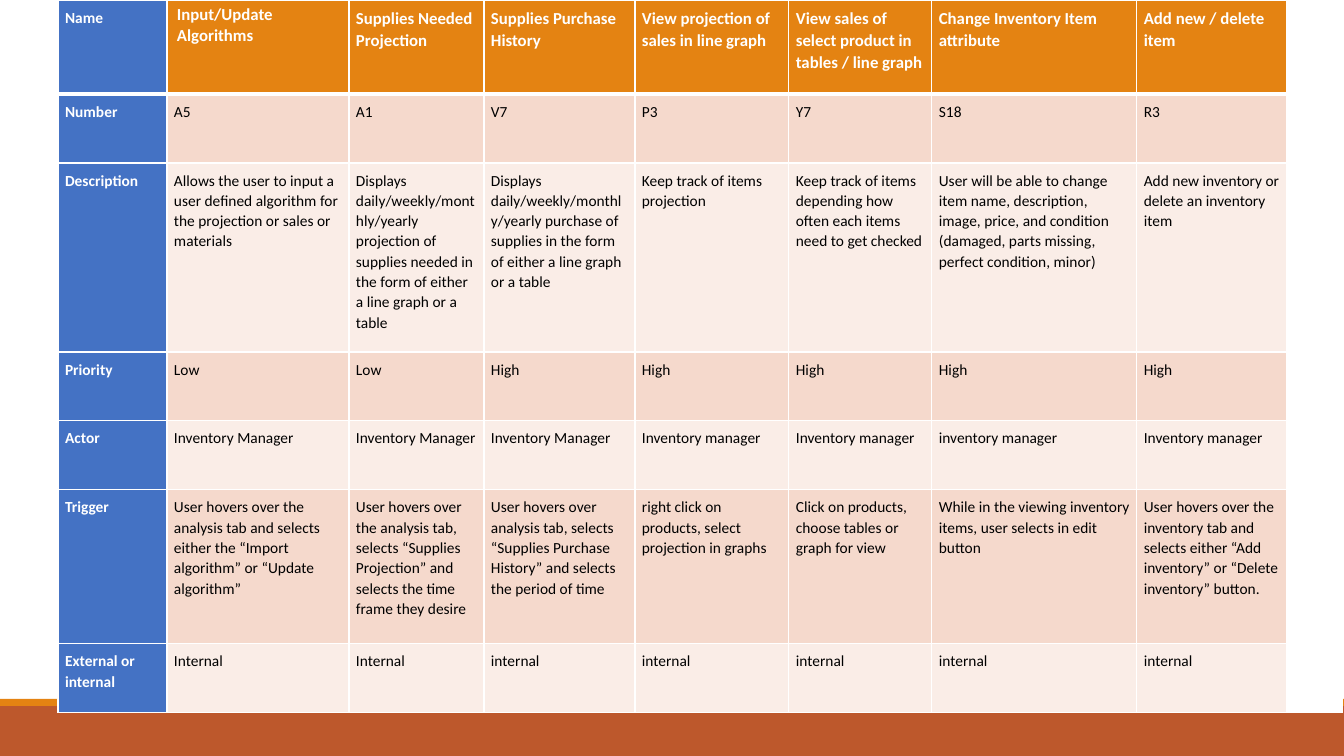
from dataclasses import dataclass

from lxml.etree import SubElement
from pptx import Presentation
from pptx.dml.color import RGBColor
from pptx.enum.shapes import MSO_SHAPE
from pptx.oxml.ns import qn
from pptx.util import Emu, Pt

FONT = "Calibri"
WHITE, BLACK = "FFFFFF", "000000"
ORANGE, RUST, BLUE = "E48312", "BD582C", "4472C4"
BANDS = ("F5D9CC", "FAEDE7")

PAGE_WIDTH, PAGE_HEIGHT = 1344, 756
TABLE_LEFT, TABLE_TOP = 58, 0
CELL_INSET = 7
SPARE_COLUMNS = 2  # blank white columns at the right edge
COLUMN_WIDTHS = (109, 182, 135, 151, 154, 143, 205, 150, 28, 28)


@dataclass(frozen=True)
class Band:
    top: int
    height: int
    fill: str


@dataclass(frozen=True)
class TableRow:
    height: int
    texts: tuple[str, ...]


@dataclass(frozen=True)
class CellStyle:
    fill: str
    color: str
    size: int = 11
    bold: bool = False
    inset_x: int = CELL_INSET
    inset_y: int = CELL_INSET
    line_spacing: float = 1.07
    space_after: int = 0


FOOTER_BANDS = (Band(706, 50, RUST), Band(699, 7, ORANGE))

LABEL = CellStyle(BLUE, WHITE, bold=True)
HEADER = CellStyle(ORANGE, WHITE, size=12, bold=True, space_after=8)
FIRST_HEADER = CellStyle(ORANGE, WHITE, size=12, bold=True,
                         inset_x=10, inset_y=5, line_spacing=1.0)
SPARE = CellStyle(WHITE, BLACK)

ROWS = (
    TableRow(94, (
        "Name", "Input/Update Algorithms", "Supplies Needed Projection",
        "Supplies Purchase History", "View projection of sales in line graph",
        "View sales of select product in tables / line graph",
        "Change Inventory Item attribute", "Add new / delete item")),
    TableRow(69, ("Number", "A5", "A1", "V7", "P3", "Y7", "S18", "R3")),
    TableRow(189, (
        "Description",
        "Allows the user to input a user defined algorithm for the projection or sales or materials",
        "Displays daily/weekly/monthly/yearly projection of supplies needed "
        "in the form of either a line graph or a table",
        "Displays daily/weekly/monthly/yearly purchase of supplies "
        "in the form of either a line graph or a table",
        "Keep track of items projection",
        "Keep track of items depending how often each items need to get checked",
        "User will be able to change item name, description, image, price, "
        "and condition (damaged, parts missing, perfect condition, minor)",
        "Add new inventory or delete an inventory item")),
    TableRow(69, ("Priority", "Low", "Low", "High", "High", "High", "High", "High")),
    TableRow(69, (
        "Actor", "Inventory Manager", "Inventory Manager", "Inventory Manager",
        "Inventory manager", "Inventory manager", "inventory manager", "Inventory manager")),
    TableRow(154, (
        "Trigger",
        "User hovers over the analysis tab and selects either the “Import algorithm” or “Update algorithm”",
        "User hovers over the analysis tab, selects “Supplies Projection” "
        "and selects the time frame they desire",
        "User hovers over analysis tab, selects “Supplies Purchase History” "
        "and selects the period of time",
        "right click on products, select projection in graphs",
        "Click on products, choose tables or graph for view",
        "While in the viewing inventory items, user selects in edit button",
        "User hovers over the inventory tab and selects either “Add inventory” "
        "or “Delete inventory” button.")),
    TableRow(69, (
        "External or internal", "Internal", "Internal", "internal",
        "internal", "internal", "internal", "internal")),
)


def px(length: int) -> Emu:
    return Emu(round(length * 914400 / 100.8))


def rgb(value: str) -> RGBColor:
    return RGBColor.from_string(value)


def draw_band(page, band: Band) -> None:
    bar = page.shapes.add_shape(
        MSO_SHAPE.RECTANGLE, 0, px(band.top), px(PAGE_WIDTH), px(band.height))
    bar.shadow.inherit = False
    bar.fill.solid()
    bar.fill.fore_color.rgb = rgb(band.fill)
    bar.line.fill.background()


def set_borders(cell, top: int, bottom: int) -> None:
    properties = cell._tc.get_or_add_tcPr()
    for side, points in (("L", 1), ("R", 1), ("T", top), ("B", bottom)):
        line = SubElement(properties, qn(f"a:ln{side}"), w=str(Pt(points)))
        fill = SubElement(line, qn("a:solidFill"))
        SubElement(fill, qn("a:srgbClr"), val=WHITE)


def style_for(row: int, column: int) -> CellStyle:
    if column >= len(COLUMN_WIDTHS) - SPARE_COLUMNS:
        return SPARE
    if column == 0:
        return LABEL
    if row == 0:
        return FIRST_HEADER if column == 1 else HEADER
    return CellStyle(BANDS[(row - 1) % 2], BLACK)


def fill_cell(cell, text: str, style: CellStyle) -> None:
    cell.fill.solid()
    cell.fill.fore_color.rgb = rgb(style.fill)
    cell.margin_left = cell.margin_right = px(style.inset_x)
    cell.margin_top = cell.margin_bottom = px(style.inset_y)
    cell.text = text
    para = cell.text_frame.paragraphs[0]
    para.line_spacing = style.line_spacing
    para.space_after = Pt(style.space_after)
    para.font.name = FONT
    para.font.size = Pt(style.size)
    para.font.bold = style.bold
    para.font.color.rgb = rgb(style.color)


def draw_table(page) -> None:
    frame = page.shapes.add_table(
        len(ROWS), len(COLUMN_WIDTHS), px(TABLE_LEFT), px(TABLE_TOP),
        px(sum(COLUMN_WIDTHS)), px(sum(row.height for row in ROWS)))
    table = frame.table
    table.first_row = table.horz_banding = False
    for column, width in zip(table.columns, COLUMN_WIDTHS):
        column.width = px(width)
    for row_index, row in enumerate(ROWS):
        table.rows[row_index].height = px(row.height)
        texts = row.texts + ("",) * SPARE_COLUMNS
        for column_index, text in enumerate(texts):
            cell = table.cell(row_index, column_index)
            # A heavier rule separates the header from the body
            set_borders(cell, top=3 if row_index == 1 else 1,
                        bottom=3 if row_index == 0 else 1)
            fill_cell(cell, text, style_for(row_index, column_index))


def main() -> None:
    deck = Presentation()
    deck.slide_width, deck.slide_height = px(PAGE_WIDTH), px(PAGE_HEIGHT)
    page = deck.slides.add_slide(deck.slide_layouts[6])

    # Footer bands, partly covered by the table
    for band in FOOTER_BANDS:
        draw_band(page, band)

    # Use case table
    draw_table(page)
    deck.save("out.pptx")


if __name__ == "__main__":
    main()
